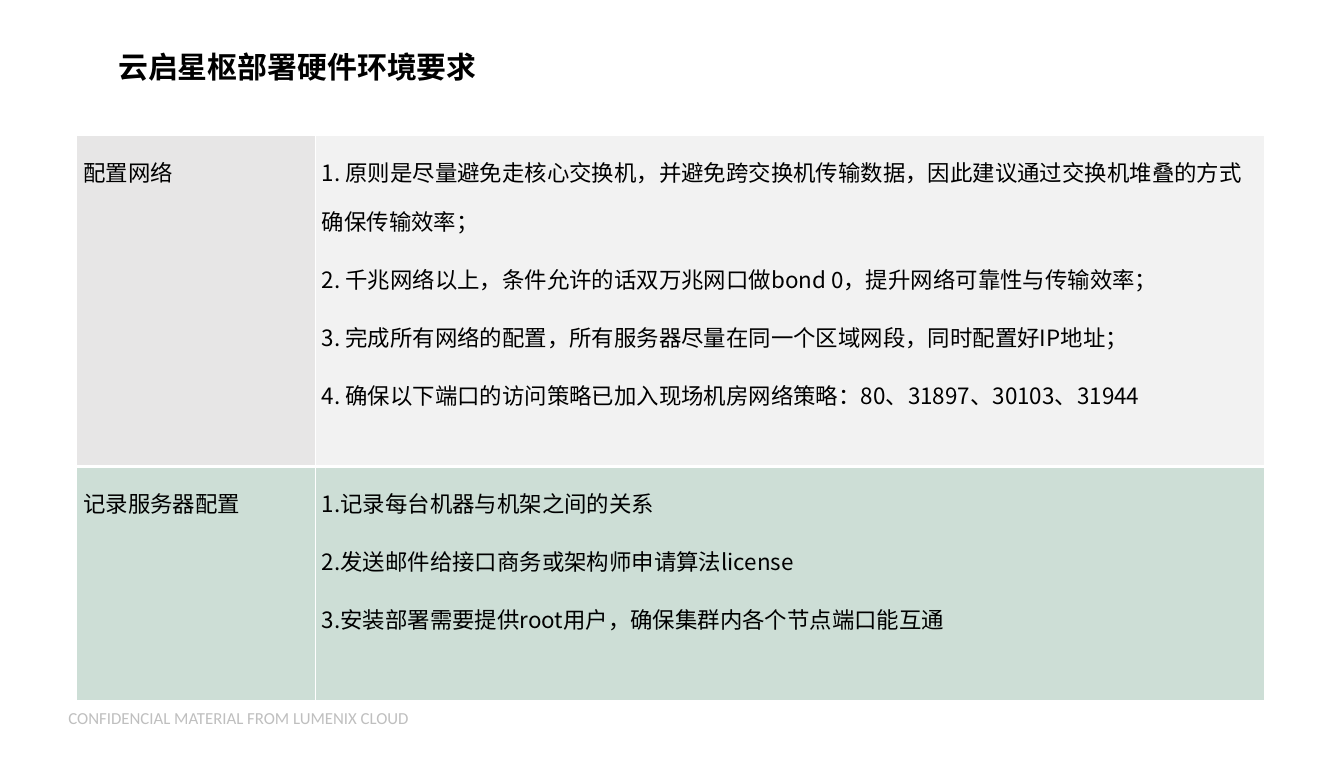
from dataclasses import dataclass

from lxml.etree import SubElement
from pptx import Presentation
from pptx.dml.color import RGBColor
from pptx.enum.text import MSO_AUTO_SIZE as AutoSize, PP_ALIGN as Align
from pptx.oxml.ns import qn
from pptx.util import Inches, Pt


@dataclass(frozen=True)
class Theme:
    cjk_font: str = "Noto Sans CJK SC"
    footer_font: str = "Calibri"
    title_size: int = 32
    body_size: int = 24
    footer_size: int = 18
    ink: str = "000000"
    footer: str = "BFBFBF"
    border: str = "FFFFFF"
    label_fill: str = "E7E6E6"
    detail_fill: str = "F2F2F2"
    green_fill: str = "CDDED6"


THEME = Theme()

COLUMN_WIDTHS = (3.55, 14.13)
ROW_HEIGHTS = (4.92, 3.48)
REQUIREMENTS = (
    (
        ("配置网络",),
        (
            "1. 原则是尽量避免走核心交换机，并避免跨交换机传输数据，因此建议通过交换机堆叠的方式确保传输效率；",
            "2. 千兆网络以上，条件允许的话双万兆网口做bond 0，提升网络可靠性与传输效率；",
            "3. 完成所有网络的配置，所有服务器尽量在同一个区域网段，同时配置好IP地址；",
            "4. 确保以下端口的访问策略已加入现场机房网络策略：80、31897、30103、31944",
        ),
    ),
    (
        ("记录服务器配置",),
        (
            "1.记录每台机器与机架之间的关系",
            "2.发送邮件给接口商务或架构师申请算法license",
            "3.安装部署需要提供root用户，确保集群内各个节点端口能互通",
        ),
    ),
)
ROW_FILLS = (
    (THEME.label_fill, THEME.detail_fill),
    (THEME.green_fill, THEME.green_fill),
)


def write_text(frame, lines, *, size, color=THEME.ink, font=THEME.cjk_font,
               bold=False, line_spacing=1.0, space_before=0):
    for index, line in enumerate(lines):
        paragraph = frame.paragraphs[0] if index == 0 else frame.add_paragraph()
        paragraph.alignment = Align.LEFT
        paragraph.line_spacing = line_spacing
        paragraph.space_before = Pt(space_before if index else 0)
        run = paragraph.add_run()
        run.text = line
        run.font.name = font
        run.font.size = Pt(size)
        run.font.bold = bold
        run.font.color.rgb = RGBColor.from_string(color)
        SubElement(run.font._element, qn("a:ea"), typeface=font)


def add_text_box(slide, text, left, top, width, height, *, wrap=True, **text_format):
    shape = slide.shapes.add_textbox(
        Inches(left), Inches(top), Inches(width), Inches(height))
    shape.text_frame.word_wrap = wrap
    shape.text_frame.auto_size = AutoSize.SHAPE_TO_FIT_TEXT
    write_text(shape.text_frame, (text,), **text_format)


def set_borders(cell, **widths):
    properties = cell._tc.get_or_add_tcPr()
    for side, width in widths.items():
        line = SubElement(properties, qn(f"a:ln{side}"), w=str(Pt(width)))
        fill = SubElement(line, qn("a:solidFill"))
        SubElement(fill, qn("a:srgbClr"), val=THEME.border)


def add_requirements_table(slide, left, top):
    table = slide.shapes.add_table(
        len(ROW_HEIGHTS), len(COLUMN_WIDTHS), Inches(left), Inches(top),
        Inches(sum(COLUMN_WIDTHS)), Inches(sum(ROW_HEIGHTS))).table
    for column, width in zip(table.columns, COLUMN_WIDTHS):
        column.width = Inches(width)
    for row_index, (row, height) in enumerate(zip(table.rows, ROW_HEIGHTS)):
        row.height = Inches(height)
        is_first = row_index == 0
        for cell, lines, fill in zip(row.cells, REQUIREMENTS[row_index], ROW_FILLS[row_index]):
            set_borders(cell, L=1, R=1, T=1 if is_first else 3, B=3 if is_first else 1)
            cell.fill.solid()
            cell.fill.fore_color.rgb = RGBColor.from_string(fill)
            write_text(cell.text_frame, lines, size=THEME.body_size,
                       line_spacing=1.5, space_before=10)


def main():
    presentation = Presentation()
    presentation.slide_width = Inches(20)
    presentation.slide_height = Inches(11.26)
    slide = presentation.slides.add_slide(presentation.slide_layouts[6])
    add_text_box(slide, "云启星枢部署硬件环境要求", 1.66, 0.68, 5.79, 0.64,
                 size=THEME.title_size, bold=True)
    add_text_box(slide, "CONFIDENCIAL MATERIAL FROM LUMENIX CLOUD", 0.92, 10.48, 5.31, 0.4,
                 wrap=False, size=THEME.footer_size, color=THEME.footer,
                 font=THEME.footer_font)
    add_requirements_table(slide, 1.14, 2.02)
    presentation.save("out.pptx")


if __name__ == "__main__":
    main()
